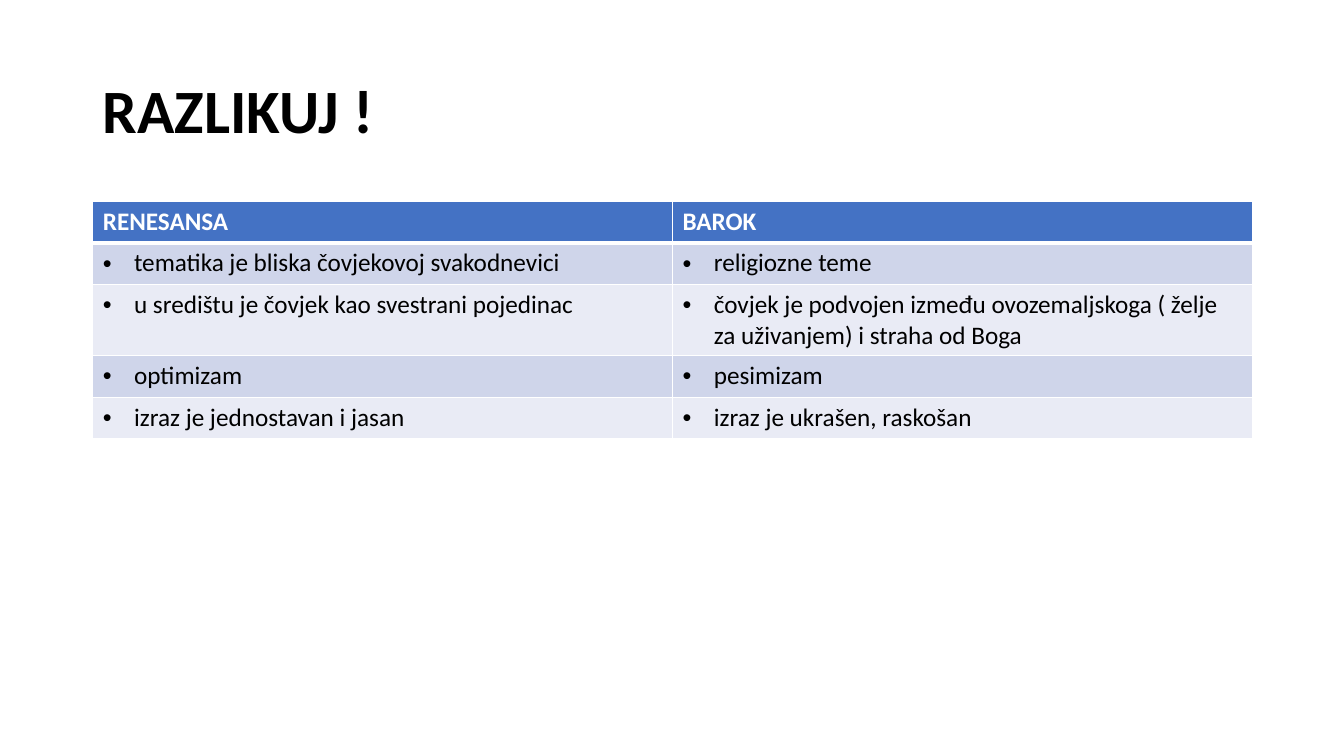
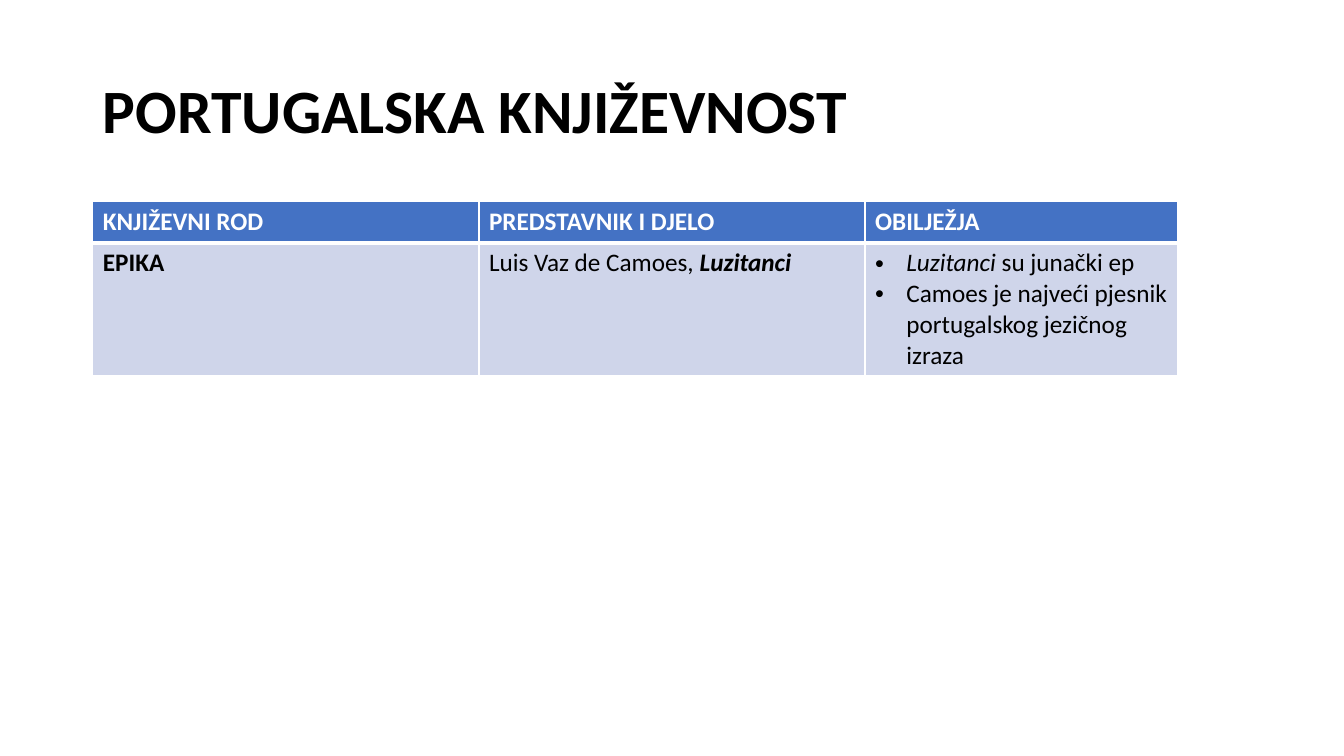
from lxml.etree import SubElement
from pptx import Presentation
from pptx.dml.color import RGBColor
from pptx.enum.text import MSO_ANCHOR, MSO_AUTO_SIZE, PP_ALIGN
from pptx.oxml.ns import qn
from pptx.util import Inches, Pt

# Shared look
FONT = "Calibri"
BLACK = RGBColor(0x00, 0x00, 0x00)
WHITE = RGBColor(0xFF, 0xFF, 0xFF)
BLUE = RGBColor(0x44, 0x72, 0xC4)
BANDS = (RGBColor(0xCF, 0xD5, 0xEA), RGBColor(0xE9, 0xEB, 0xF5))
LEFT, TOP, ROW = 0.92, 2, 0.41
THIN, THICK = 1, 3
INDENT = 0.31

# Content: a cell is a list of paragraphs, a paragraph a list of (text, style)
# runs with style letters b and i; a string is one plain paragraph.
SLIDES = [
    {
        "title": "RAZLIKUJ !",
        "cols": [5.75, 5.75],
        "dots": {0, 1},
        "head": ["RENESANSA", "BAROK"],
        "rows": [
            ["tematika je bliska čovjekovoj svakodnevici", "religiozne teme"],
            ["u središtu je čovjek kao svestrani pojedinac",
             "čovjek je podvojen između ovozemaljskoga ( želje za uživanjem)"
             " i straha od Boga"],
            ["optimizam", "pesimizam"],
            ["izraz je jednostavan i jasan", "izraz je ukrašen, raskošan"],
        ],
    },
    {
        "title": "PORTUGALSKA KNJIŽEVNOST",
        "cols": [3.83, 3.83, 3.1],
        "dots": {2},
        "head": ["KNJIŽEVNI ROD", "PREDSTAVNIK I DJELO", "OBILJEŽJA"],
        "rows": [
            [[[("EPIKA", "b")]],
             [[("Luis Vaz de Camoes, ", ""), ("Luzitanci", "bi")]],
             [[("Luzitanci", "i"), (" su junački ep", "")],
              [("Camoes je najveći pjesnik portugalskog jezičnog izraza", "")]]],
        ],
    },
]


def style(run, size, color, bold, italic=False):
    font = run.font
    font.name, font.size = FONT, Pt(size)
    font.bold, font.italic = bold, italic
    font.color.rgb = color


def bullet(para):
    props = para._p.get_or_add_pPr()
    props.set("marL", str(Inches(INDENT)))
    props.set("indent", str(-Inches(INDENT)))
    SubElement(props, qn("a:buFont"), typeface="Arial")
    SubElement(props, qn("a:buChar"), char="•")


def border(cell, top, bottom):
    props = cell._tc.get_or_add_tcPr()
    for side, width in zip("LRTB", (THIN, THIN, top, bottom)):
        line = SubElement(props, qn(f"a:ln{side}"), w=str(Pt(width)))
        fill = SubElement(line, qn("a:solidFill"))
        SubElement(fill, qn("a:srgbClr"), val=str(WHITE))


def fill_cell(cell, body, row, dot):
    head = row == 0
    border(cell, THICK if row == 1 else THIN, THICK if head else THIN)
    cell.fill.solid()
    cell.fill.fore_color.rgb = BLUE if head else BANDS[(row - 1) % 2]
    if isinstance(body, str):
        body = [[(body, "b" if head else "")]]
    frame = cell.text_frame
    for n, runs in enumerate(body):
        para = frame.add_paragraph() if n else frame.paragraphs[0]
        if dot and not head:
            bullet(para)
        for text, marks in runs:
            run = para.add_run()
            run.text = text
            style(run, 18, WHITE if head else BLACK, "b" in marks, "i" in marks)


def add_title(slide, text):
    title = slide.shapes.title
    title.left, title.top = Inches(LEFT), Inches(0.4)
    title.width, title.height = Inches(11.5), Inches(1.45)
    frame = title.text_frame
    frame.text = text
    frame.auto_size = MSO_AUTO_SIZE.NONE
    frame.vertical_anchor = MSO_ANCHOR.MIDDLE
    para = frame.paragraphs[0]
    para.alignment, para.line_spacing = PP_ALIGN.LEFT, 0.9
    style(para.runs[0], 44, BLACK, True)


def add_grid(slide, data):
    rows, cols = [data["head"]] + data["rows"], data["cols"]
    table = slide.shapes.add_table(
        len(rows), len(cols), Inches(LEFT), Inches(TOP),
        Inches(sum(cols)), Inches(ROW * len(rows))).table
    for col, width in zip(table.columns, cols):
        col.width = Inches(width)
    for r, cells in enumerate(rows):
        for c, body in enumerate(cells):
            fill_cell(table.cell(r, c), body, r, c in data["dots"])


def main():
    deck = Presentation()
    deck.slide_width, deck.slide_height = Inches(13.33), Inches(7.5)
    for data in SLIDES:
        slide = deck.slides.add_slide(deck.slide_layouts[5])
        add_title(slide, data["title"])
        add_grid(slide, data)
    deck.save("out.pptx")


if __name__ == "__main__":
    main()
